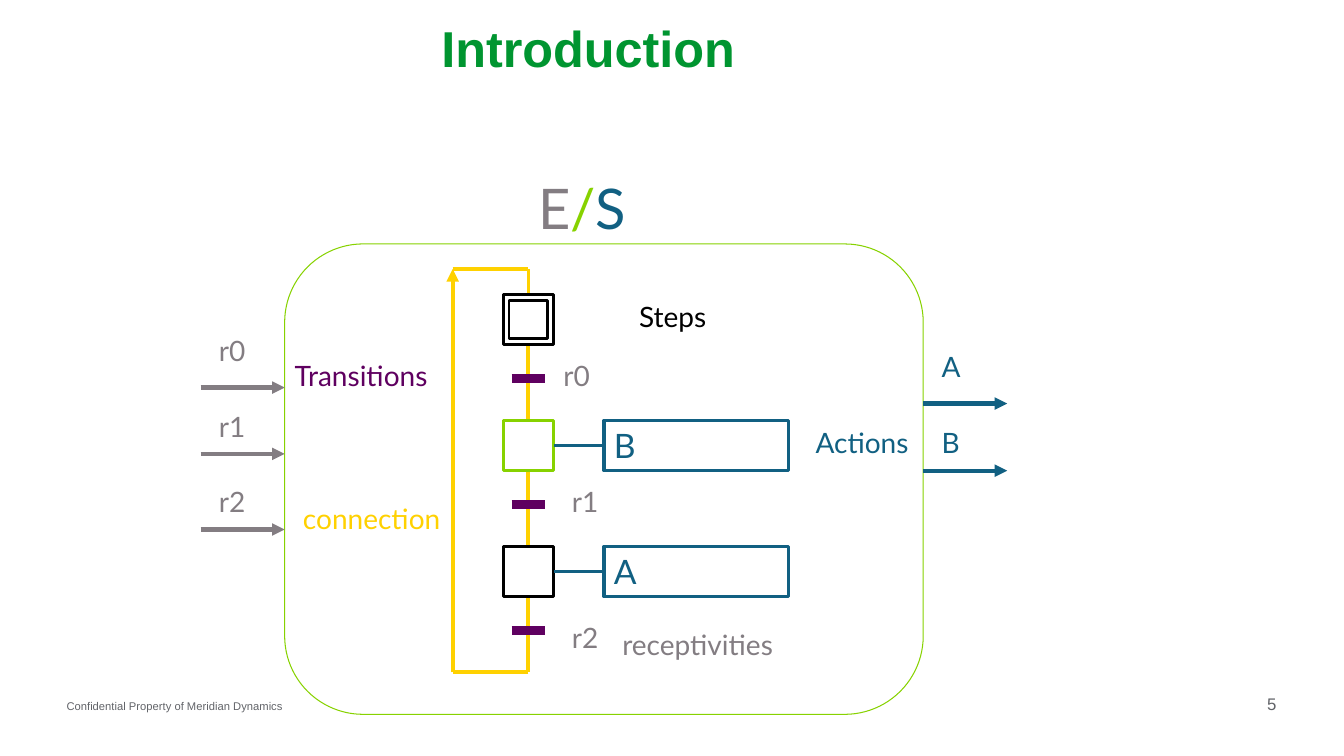
import pptx
import pptx.util
import pptx.dml.color
import pptx.enum.shapes
import pptx.enum.text
import pptx.oxml
import pptx.oxml.ns

Pt = pptx.util.Pt
Inches = pptx.util.Inches
RGB = pptx.dml.color.RGBColor
SHAPE = pptx.enum.shapes.MSO_SHAPE
ALIGN = pptx.enum.text.PP_ALIGN
ANCHOR = pptx.enum.text.MSO_ANCHOR

HUES = {
    "title": "009530", "small": "626469", "gold": "FFD100", "lime": "87D200",
    "black": "000000", "plum": "5F0060", "blue": "116082", "gray": "837D82",
    "white": "FFFFFF",
}

# The diagram sits on a grid of 1/12 inch cells.
UNIT = Inches(1) // 12
LEFT, TOP = Inches(1.99), Inches(2.67)
PITCH = 15   # rows from one step to the next
SIDE = 6     # side of a step
AXIS = 39    # column of the chain of steps
LOOP = 30    # column of the way back
END = 48     # last row of the chain

deck = pptx.Presentation()
deck.slide_width, deck.slide_height = Inches(13.33), Inches(7.5)
slide = deck.slides.add_slide(deck.slide_layouts[6])
shapes = slide.shapes


def write(shape, parts, size, font="Lato", bold=False):
    """Fill the first paragraph with (text, hue) runs."""
    para = shape.text_frame.paragraphs[0]
    for text, hue in parts:
        run = para.add_run()
        run.text = text
        run.font.name, run.font.size, run.font.bold = font, Pt(size), bold
        run.font.color.rgb = RGB.from_string(HUES[hue])
    return para


def link(start, end, hue, width=3, arrow=False):
    """Draw a line between two (column, row) points."""
    (x1, y1), (x2, y2) = start, end
    line = shapes.add_connector(
        pptx.enum.shapes.MSO_CONNECTOR.STRAIGHT,
        int(LEFT + x1 * UNIT), int(TOP + y1 * UNIT),
        int(LEFT + x2 * UNIT), int(TOP + y2 * UNIT))
    line.line.color.rgb = RGB.from_string(HUES[hue])
    line.line.width = Pt(width)
    if arrow:
        tail = pptx.oxml.parse_xml(
            f'<a:tailEnd {pptx.oxml.ns.nsdecls("a")} type="triangle"/>')
        line.line._get_or_add_ln().append(tail)
    line._element.spPr.append(
        pptx.oxml.parse_xml(f'<a:effectLst {pptx.oxml.ns.nsdecls("a")}/>'))


# Title, footer and page number
for text, place, size, hue, align, anchor in [
    ("Introduction", (1.27, 0.17, 9.13, 1.25), 36, "title", ALIGN.CENTER, ANCHOR.TOP),
    ("Confidential Property of Meridian Dynamics", (0.66, 6.94, 3.11, 0.13), 8,
     "small", ALIGN.LEFT, ANCHOR.BOTTOM),
    ("5", (12.23, 6.87, 0.43, 0.21), 12, "small", ALIGN.RIGHT, ANCHOR.BOTTOM),
]:
    box = shapes.add_textbox(*map(Inches, place))
    frame = box.text_frame
    frame.word_wrap, frame.vertical_anchor = True, anchor
    frame.margin_left = frame.margin_right = 0
    frame.margin_top = frame.margin_bottom = 0
    write(box, [(text, hue)], size, "Arial", hue == "title").alignment = align

# Chain of steps and the way back
link((AXIS, 3), (AXIS, 0), "gold", 2.25)
for row in range(9, END, PITCH):
    link((AXIS, row), (AXIS, row + 9), "gold")
    link((AXIS - 2, row + 4), (AXIS + 2, row + 4), "plum", 6)
link((AXIS, END), (LOOP, END), "gold")
link((LOOP, END), (LOOP, 0), "gold", arrow=True)
link((LOOP, 0), (AXIS, 0), "gold")

# Steps, actions and the frame: column, row, width, height
for col, row, wide, high, hue, weight, fill, name in [
    (36, 3, SIDE, SIDE, "black", 2, None, ""),
    (36.7, 3.7, 4.6, 4.6, "black", 2, None, ""),
    (36, 18, SIDE, SIDE, "lime", 2.25, "white", ""),
    (36, 33, SIDE, SIDE, "black", 2, None, ""),
    (48, 18, 22, SIDE, "blue", 2.25, "white", "B"),
    (48, 33, 22, SIDE, "blue", 2.25, "white", "A"),
    (10, -3, 76, 56, "lime", 0.75, None, ""),
]:
    kind = SHAPE.FLOWCHART_ALTERNATE_PROCESS if wide == 76 else SHAPE.RECTANGLE
    box = shapes.add_shape(kind, int(LEFT + col * UNIT), int(TOP + row * UNIT),
                           int(wide * UNIT), int(high * UNIT))
    box.shadow.inherit = False
    box.line.color.rgb = RGB.from_string(HUES[hue])
    box.line.width = Pt(weight)
    if fill:
        box.fill.solid()
        box.fill.fore_color.rgb = RGB.from_string(HUES[fill])
    else:
        box.fill.background()
    if name:
        box.text_frame.vertical_anchor = ANCHOR.MIDDLE
        write(box, [(name, hue)], 24).alignment = ALIGN.LEFT
        link((48.2, row + 3), (42, row + 3), hue, 2.25)

# Inputs and outputs
for row in (14.1, 22, 31):
    link((0, row), (10, row), "gray", arrow=True)
for row in (16, 24):
    link((86, row), (96, row), "blue", arrow=True)

# Labels: column, row, width
for text, col, row, wide, hue in [
    ("Steps", 51, 3, 12, "black"),
    ("Transitions", 10, 10, 20, "plum"),
    ("connection", 11, 27.1, 22, "gold"),
    ("Actions", 72, 18, 16, "blue"),
    ("receptivities", 49, 42.1, 21, "gray"),
    ("A", 87, 9, 7, "blue"),
    ("B", 87, 18, 7, "blue"),
    ("r0", 1, 7.1, 7, "gray"),
    ("r1", 1, 16.1, 7, "gray"),
    ("r2", 1, 25.1, 7, "gray"),
    ("r0", 42, 10.1, 7, "gray"),
    ("r1", 43, 25.1, 7, "gray"),
    ("r2", 43, 41.2, 7, "gray"),
]:
    box = shapes.add_textbox(int(LEFT + col * UNIT), int(TOP + row * UNIT),
                             wide * UNIT, Inches(0.43))
    box.text_frame.word_wrap = True
    write(box, [(text, hue)], 20)

head = shapes.add_textbox(LEFT + AXIS * UNIT, TOP - 12 * UNIT, 18 * UNIT, Inches(0.77))
head.text_frame.word_wrap = True
write(head, [("E", "gray"), ("/", "lime"), ("S", "blue")], 40)

deck.save("out.pptx")
